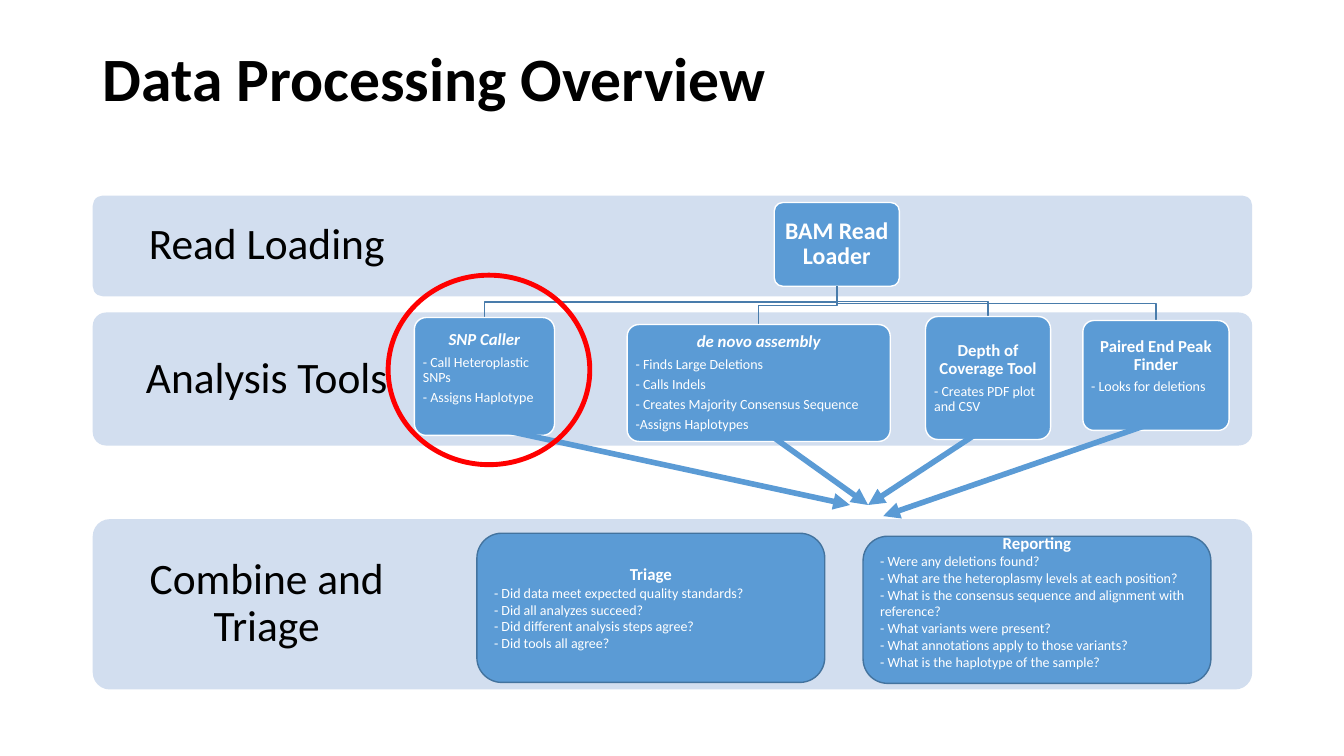
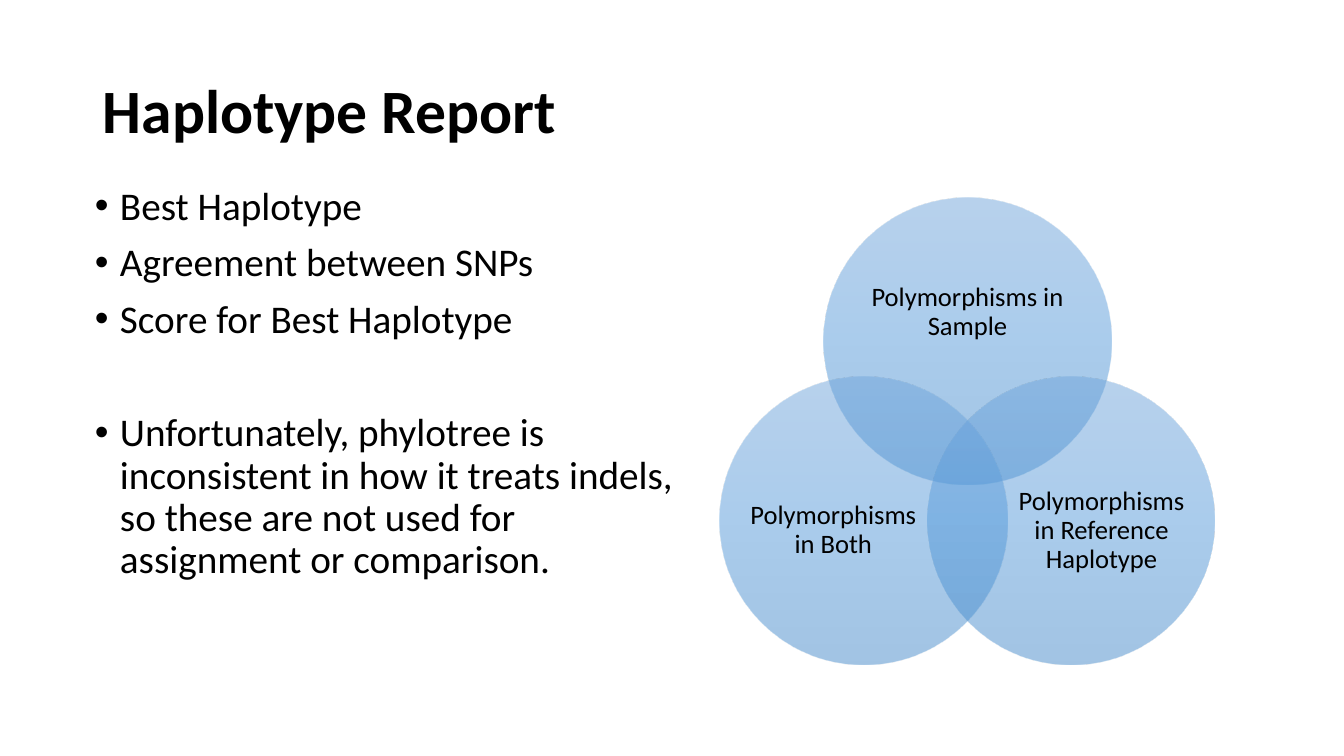
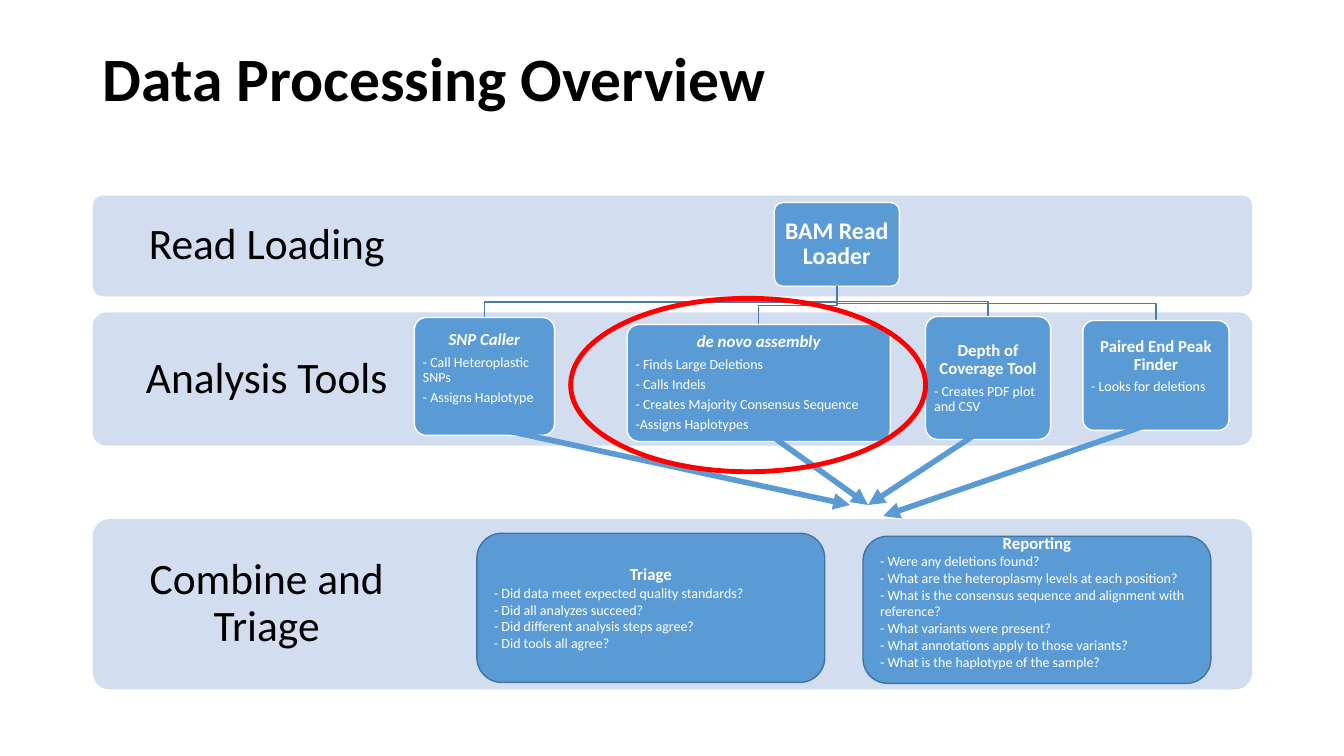
import pptx
import pptx.util
import pptx.oxml
import pptx.oxml.ns
import pptx.dml.color
import pptx.enum.shapes
import pptx.enum.text

Inches = pptx.util.Inches
Pt = pptx.util.Pt
SHAPE = pptx.enum.shapes.MSO_SHAPE
ALIGN = pptx.enum.text.PP_ALIGN
ANCHOR = pptx.enum.text.MSO_ANCHOR
qn = pptx.oxml.ns.qn

FONT = "Calibri"
COLORS = {
    "text": "000000",
    "white": "FFFFFF",
    "band": "D2DEEF",
    "box": "5B9BD5",
    "box_edge": "43739E",
    "branch": "497CAB",
    "highlight": "FF0000",
}
VENN_STOPS = [(0, "71A6DB"), (50, "559BDB"), (100, "448ACA")]


def add_box(slide, kind, bounds, fill=None, line=None, width=1, corner=None):
    shape = slide.shapes.add_shape(kind, *[Inches(value) for value in bounds])
    shape.shadow.inherit = False
    if corner is not None:
        shape.adjustments[0] = corner
    if fill:
        shape.fill.solid()
        shape.fill.fore_color.rgb = pptx.dml.color.RGBColor.from_string(COLORS[fill])
    else:
        shape.fill.background()
    if line:
        shape.line.color.rgb = pptx.dml.color.RGBColor.from_string(COLORS[line])
        shape.line.width = Pt(width)
    else:
        shape.line.fill.background()
    return shape


def write(shape, lines, size, color="text", bold=False, italic=False, item_size=10,
          align=ALIGN.CENTER, insets=None, line_spacing=0.9, space_after=0.35):
    frame = shape.text_frame
    frame.word_wrap = True
    frame.auto_size = pptx.enum.text.MSO_AUTO_SIZE.NONE
    frame.vertical_anchor = ANCHOR.MIDDLE
    if insets:
        frame.margin_left, frame.margin_top, frame.margin_right, frame.margin_bottom = [
            Inches(value) for value in insets]
    frame.text = "\n".join(lines)
    for index, paragraph in enumerate(frame.paragraphs):
        heading = index == 0
        points = size if heading else item_size
        paragraph.alignment = align if heading else ALIGN.LEFT
        paragraph.line_spacing = line_spacing
        paragraph.space_before = Pt(0)
        paragraph.space_after = Pt(round(points * space_after, 1))
        for run in paragraph.runs:
            run.font.name = FONT
            run.font.size = Pt(points)
            run.font.bold = bold and heading
            run.font.italic = italic and heading
            run.font.color.rgb = pptx.dml.color.RGBColor.from_string(COLORS[color])


BANDS = [
    ("Combine and Triage", 5.15, 1.69),
    ("Analysis Tools", 3.1, 1.32),
    ("Read Loading", 1.94, 1),
]
LOADER = (7.68, 2.01, 1.24, 0.83)
TOOLS = [
    ((6.22, 3.22, 2.61, 1.16), True, 0.05,
     ["de novo assembly", "- Finds Large Deletions", "- Calls Indels",
      "- Creates Majority Consensus Sequence", "-Assigns Haplotypes"]),
    ((4.11, 3.15, 1.39, 1.17), True, 0.21,
     ["SNP Caller", "- Call Heteroplastic SNPs", "- Assigns Haplotype"]),
    ((9.18, 3.14, 1.24, 1.22), False, 0.05,
     ["Depth of Coverage Tool", "- Creates PDF plot and CSV"]),
    ((10.74, 3.18, 1.45, 1.09), False, 0.23,
     ["Paired End Peak Finder", "- Looks for deletions"]),
]
ARROWS = [
    (4.78, 4.22, 8.43, 5.01),
    (7.66, 4.33, 8.61, 5.01),
    (9.69, 4.3, 8.61, 5.01),
    (11.51, 4.17, 8.76, 5.12),
]
OUTCOMES = [
    ((4.73, 5.29, 3.45, 1.48), 0.05,
     ["Triage", "- Did data meet expected quality standards?", "- Did all analyzes succeed?",
      "- Did different analysis steps agree?", "- Did tools all agree?"]),
    ((8.56, 5.32, 3.45, 1.46), 0.22,
     ["Reporting", "- Were any deletions found?",
      "- What are the heteroplasmy levels at each position?",
      "- What is the consensus sequence and alignment with reference?",
      "- What variants were present?", "- What annotations apply to those variants?",
      "- What is the haplotype of the sample?"]),
]

presentation = pptx.Presentation()
presentation.slide_width = Inches(13.33)
presentation.slide_height = Inches(7.5)

slides = []
for title, layout, title_height in [
    ("Data Processing Overview", 5, 0.82),
    ("Haplotype Report", 1, 1.45),
    ("Data Processing Overview", 5, 0.82),
]:
    slide = presentation.slides.add_slide(presentation.slide_layouts[layout])
    heading = slide.shapes.title
    heading.left, heading.top = Inches(0.92), Inches(0.4)
    heading.width, heading.height = Inches(11.5), Inches(title_height)
    write(heading, [title], 44, bold=True, align=ALIGN.LEFT, space_after=0)
    slides.append(slide)

for slide, highlight in [
    (slides[0], (3.85, 2.73, 2, 1.88)),
    (slides[2], (5.66, 2.96, 3.52, 1.72)),
]:
    for label, top, height in BANDS:
        band = add_box(slide, SHAPE.ROUNDED_RECTANGLE, (0.92, top, 11.5, height), "band", corner=0.1)
        write(band, [label], 31, insets=(0.24, 0.24, 8.29, 0.24))

    loader = add_box(slide, SHAPE.ROUNDED_RECTANGLE, LOADER, "box", "white", corner=0.1)
    write(loader, ["BAM Read Loader"], 17, "white", bold=True, insets=[0.07] * 4)

    stem_x = LOADER[0] + LOADER[2] / 2
    stem_y = LOADER[1] + LOADER[3]
    for bounds, italic, bottom_inset, lines in TOOLS:
        tool_x = bounds[0] + bounds[2] / 2
        middle_y = (stem_y + bounds[1]) / 2
        builder = slide.shapes.build_freeform(Inches(stem_x), Inches(stem_y))
        builder.add_line_segments(
            [(Inches(x), Inches(y)) for x, y in
             [(stem_x, middle_y), (tool_x, middle_y), (tool_x, bounds[1])]], close=False)
        branch = builder.convert_to_shape()
        branch.shadow.inherit = False
        branch.fill.background()
        branch.line.color.rgb = pptx.dml.color.RGBColor.from_string(COLORS["branch"])
        branch.line.width = Pt(1)
        tool = add_box(slide, SHAPE.ROUNDED_RECTANGLE, bounds, "box", "white", corner=0.1)
        write(tool, lines, 12, "white", bold=True, italic=italic,
              insets=(0.05, 0.05, 0.05, bottom_inset))

    for ends in ARROWS:
        arrow = slide.shapes.add_connector(
            pptx.enum.shapes.MSO_CONNECTOR.STRAIGHT, *[Inches(value) for value in ends])
        arrow.line.color.rgb = pptx.dml.color.RGBColor.from_string(COLORS["box"])
        arrow.line.width = Pt(4)
        tail = pptx.oxml.parse_xml(f'<a:tailEnd {pptx.oxml.ns.nsdecls("a")} type="triangle"/>')
        arrow.line._get_or_add_ln().append(tail)
        effects = pptx.oxml.parse_xml(f'<a:effectLst {pptx.oxml.ns.nsdecls("a")}/>')
        arrow._element.spPr.append(effects)

    for bounds, bottom_inset, lines in OUTCOMES:
        outcome = add_box(slide, SHAPE.ROUNDED_RECTANGLE, bounds, "box", "box_edge")
        write(outcome, lines, 12, "white", bold=True, line_spacing=1.0, space_after=0,
              insets=(0.1, 0.05, 0.1, bottom_inset))

    add_box(slide, SHAPE.OVAL, highlight, line="highlight", width=3.5)

report = slides[1]
body = report.placeholders[1]
body.left, body.top, body.width, body.height = [Inches(value) for value in (0.84, 1.8, 6.03, 4.76)]
write(body, [
    "Best Haplotype",
    "Agreement between SNPs",
    "Score for Best Haplotype",
    "Unfortunately, phylotree is inconsistent in how it treats indels, "
    "so these are not used for assignment or comparison.",
], 28, item_size=28, align=ALIGN.LEFT, space_after=0)
body.text_frame.vertical_anchor = ANCHOR.TOP
for paragraph in body.text_frame.paragraphs:
    paragraph.space_before = Pt(10)
    properties = paragraph._p.get_or_add_pPr()
    properties.set("marL", str(Inches(0.25)))
    properties.set("indent", str(-Inches(0.25)))
body.text_frame.paragraphs[-1].space_before = Pt(51)

stops = "".join(
    f'<a:gs pos="{position * 1000}"><a:srgbClr val="{color}"><a:alpha val="50000"/></a:srgbClr></a:gs>'
    for position, color in VENN_STOPS)
for label, circle_left, circle_top, label_bounds in [
    ("Polymorphisms in Sample", 8.17, 1.96, (8.55, 2.46, 2.09, 1.28)),
    ("Polymorphisms in Reference Haplotype", 9.2, 3.74, (10.07, 4.48, 1.71, 1.57)),
    ("Polymorphisms in Both", 7.14, 3.74, (7.41, 4.48, 1.71, 1.57)),
]:
    circle = add_box(report, SHAPE.OVAL, (circle_left, circle_top, 2.85, 2.85), "box")
    gradient = pptx.oxml.parse_xml(
        f'<a:gradFill {pptx.oxml.ns.nsdecls("a")} rotWithShape="1"><a:gsLst>{stops}</a:gsLst>'
        '<a:lin ang="5400000" scaled="0"/></a:gradFill>')
    circle_properties = circle._element.spPr
    circle_properties.replace(circle_properties.find(qn("a:solidFill")), gradient)
    caption = report.shapes.add_textbox(*[Inches(value) for value in label_bounds])
    write(caption, [label], 19, insets=[0] * 4)

presentation.save("out.pptx")
